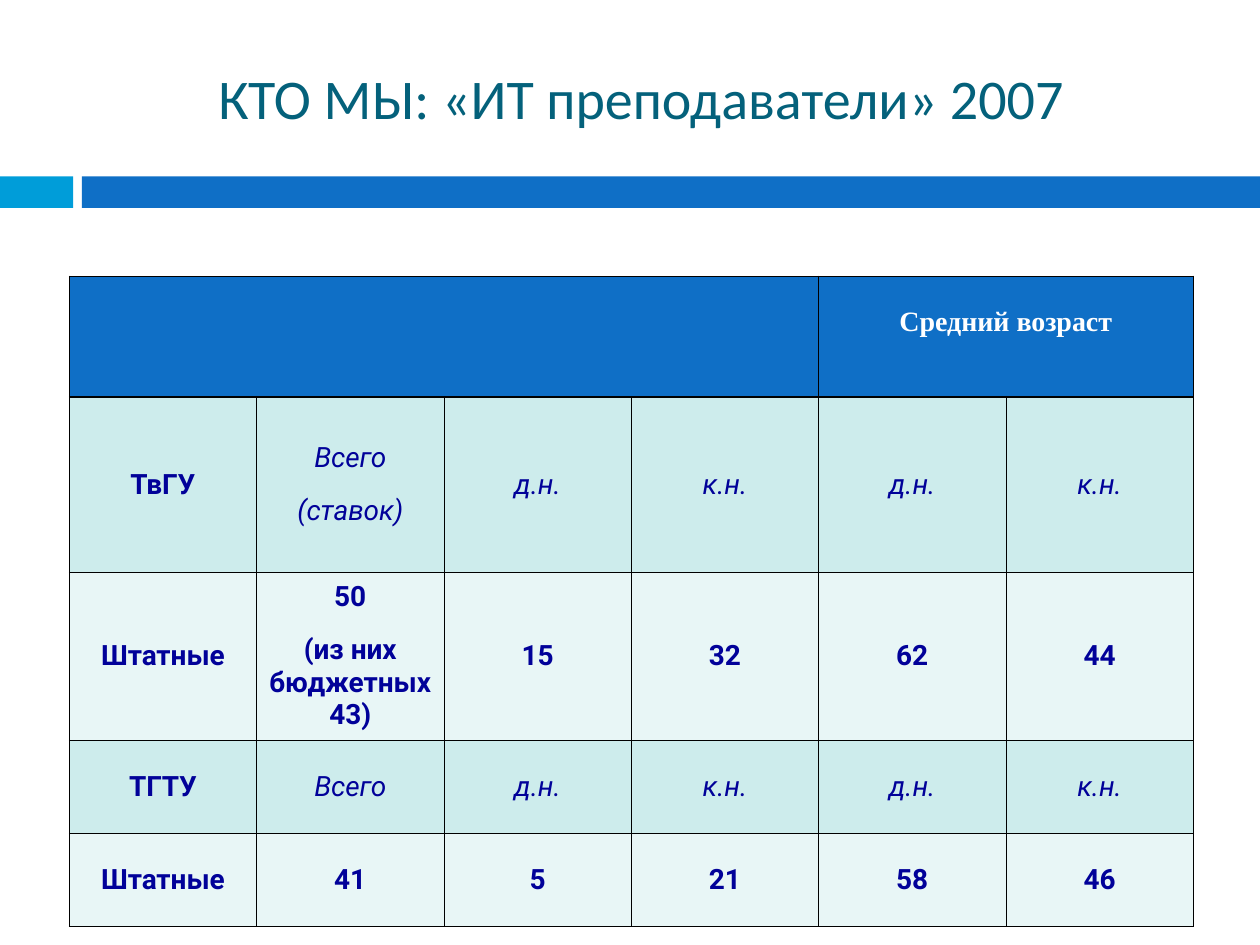
import pptx
import pptx.util
import pptx.dml.color
import pptx.enum.shapes
import pptx.enum.text
import lxml.etree
from pptx.util import Inches

TITLE = "КТО МЫ: «ИТ преподаватели» 2007"
AGE_HEADING = "Средний возраст"
DEGREES = ["д.н.", "к.н.", "д.н.", "к.н."]
ROWS = [
    ["ТвГУ", "Всего\n(ставок)", *DEGREES],
    ["Штатные", "50\n(из них бюджетных 43)", "15", "32", "62", "44"],
    ["ТГТУ", "Всего", *DEGREES],
    ["Штатные", "41", "5", "21", "58", "46"],
]
ROW_HEIGHTS = [0.96, 1.39, 1.3, 0.74, 0.74]
TABLE_LEFT, TABLE_TOP, TABLE_WIDTH = 0.55, 2.19, 8.92
AGE_COLUMN = 4

THEME = {
    "accent": "009DD9", "main": "0F6FC6", "title": "04617B",
    "text": "010199", "header_text": "FFFFFF", "border": "000000",
    "label_row": "CDECEC", "value_row": "E8F6F6",
    "title_font": "Calibri", "body_font": "Roboto", "header_font": "Times New Roman",
    "title_size": 32, "body_size": 16, "thin": 0.45, "thick": 1.47, "gap": 12,
}
BARS = [(0, 0.58, "accent"), (0.65, 9.35, "main")]


def paint(shape, color):
    shape.fill.solid()
    shape.fill.fore_color.rgb = pptx.dml.color.RGBColor.from_string(THEME[color])


def write(text_frame, text, font, size, color, bold=False, italic=False):
    text_frame.text = text
    for index, paragraph in enumerate(text_frame.paragraphs):
        paragraph.alignment = pptx.enum.text.PP_ALIGN.CENTER
        if index:
            paragraph.space_before = pptx.util.Pt(THEME["gap"])
        for run in paragraph.runs:
            run.font.name = THEME[font]
            run.font.size = pptx.util.Pt(THEME[size])
            run.font.bold = bold
            run.font.italic = italic
            run.font.color.rgb = pptx.dml.color.RGBColor.from_string(THEME[color])


def add_borders(cell, top, bottom):
    properties = cell._tc.get_or_add_tcPr()
    namespace = "{http://schemas.openxmlformats.org/drawingml/2006/main}"
    widths = {"lnL": "thin", "lnR": "thin", "lnT": top, "lnB": bottom}
    for index, (side, width) in enumerate(widths.items()):
        line = lxml.etree.Element(namespace + side, w=str(int(pptx.util.Pt(THEME[width]))))
        fill = lxml.etree.SubElement(line, namespace + "solidFill")
        lxml.etree.SubElement(fill, namespace + "srgbClr", val=THEME["border"])
        properties.insert(index, line)


def add_bars(slide):
    for left, width, color in BARS:
        shape = slide.shapes.add_shape(
            pptx.enum.shapes.MSO_SHAPE.RECTANGLE,
            Inches(left), Inches(1.4), Inches(width), Inches(0.25))
        shape.shadow.inherit = False
        paint(shape, color)
        shape.line.fill.background()


def add_title(slide):
    shape = slide.shapes.add_textbox(Inches(0.63), Inches(0.23), Inches(8.92), Inches(1.08))
    shape.text_frame.word_wrap = True
    shape.text_frame.vertical_anchor = pptx.enum.text.MSO_ANCHOR.MIDDLE
    write(shape.text_frame, TITLE, "title_font", "title_size", "title")


def add_staff_table(slide):
    column_count = len(ROWS[0])
    table = slide.shapes.add_table(
        len(ROW_HEIGHTS), column_count, Inches(TABLE_LEFT), Inches(TABLE_TOP),
        Inches(TABLE_WIDTH), Inches(sum(ROW_HEIGHTS))).table
    for row, height in zip(table.rows, ROW_HEIGHTS):
        row.height = Inches(height)
    for column in table.columns:
        column.width = Inches(TABLE_WIDTH / column_count)

    for column_index in range(column_count):
        cell = table.cell(0, column_index)
        paint(cell, "main")
        add_borders(cell, "thin", "thick")
    table.cell(0, 0).merge(table.cell(0, AGE_COLUMN - 1))
    age_cell = table.cell(0, AGE_COLUMN)
    age_cell.merge(table.cell(0, column_count - 1))
    age_cell.margin_top = Inches(0.24)
    write(age_cell.text_frame, AGE_HEADING, "header_font", "body_size", "header_text", bold=True)

    for row_index, texts in enumerate(ROWS, start=1):
        is_label_row = row_index % 2 == 1
        for column_index, text in enumerate(texts):
            cell = table.cell(row_index, column_index)
            cell.vertical_anchor = pptx.enum.text.MSO_ANCHOR.MIDDLE
            cell.margin_left = cell.margin_right = Inches(0.03)
            cell.margin_top = cell.margin_bottom = Inches(0.05)
            paint(cell, "label_row" if is_label_row else "value_row")
            add_borders(cell, "thick" if row_index == 1 else "thin", "thin")
            italic = is_label_row and column_index > 0
            write(cell.text_frame, text, "body_font", "body_size", "text", not italic, italic)


def main():
    presentation = pptx.Presentation()
    presentation.slide_width = Inches(10)
    presentation.slide_height = Inches(7.5)
    slide = presentation.slides.add_slide(presentation.slide_layouts[6])
    add_bars(slide)
    add_title(slide)
    add_staff_table(slide)
    presentation.save("out.pptx")


if __name__ == "__main__":
    main()
